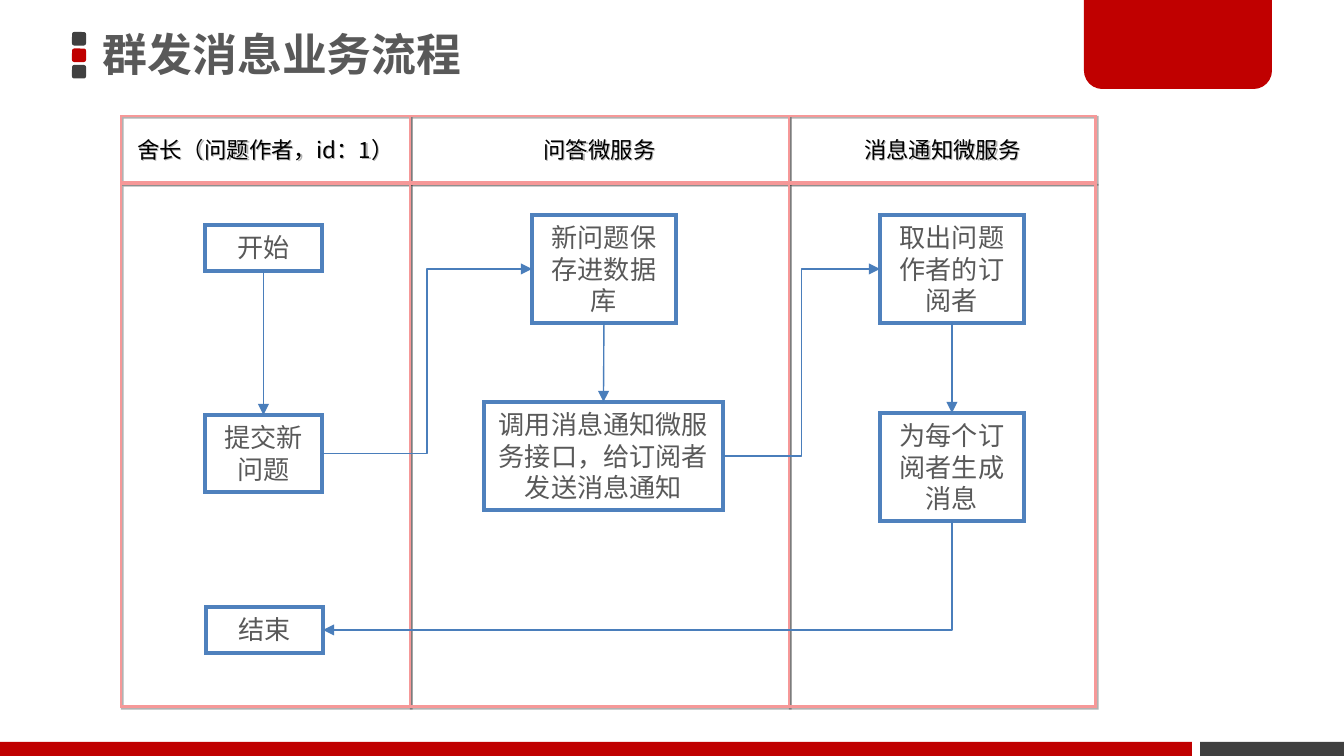
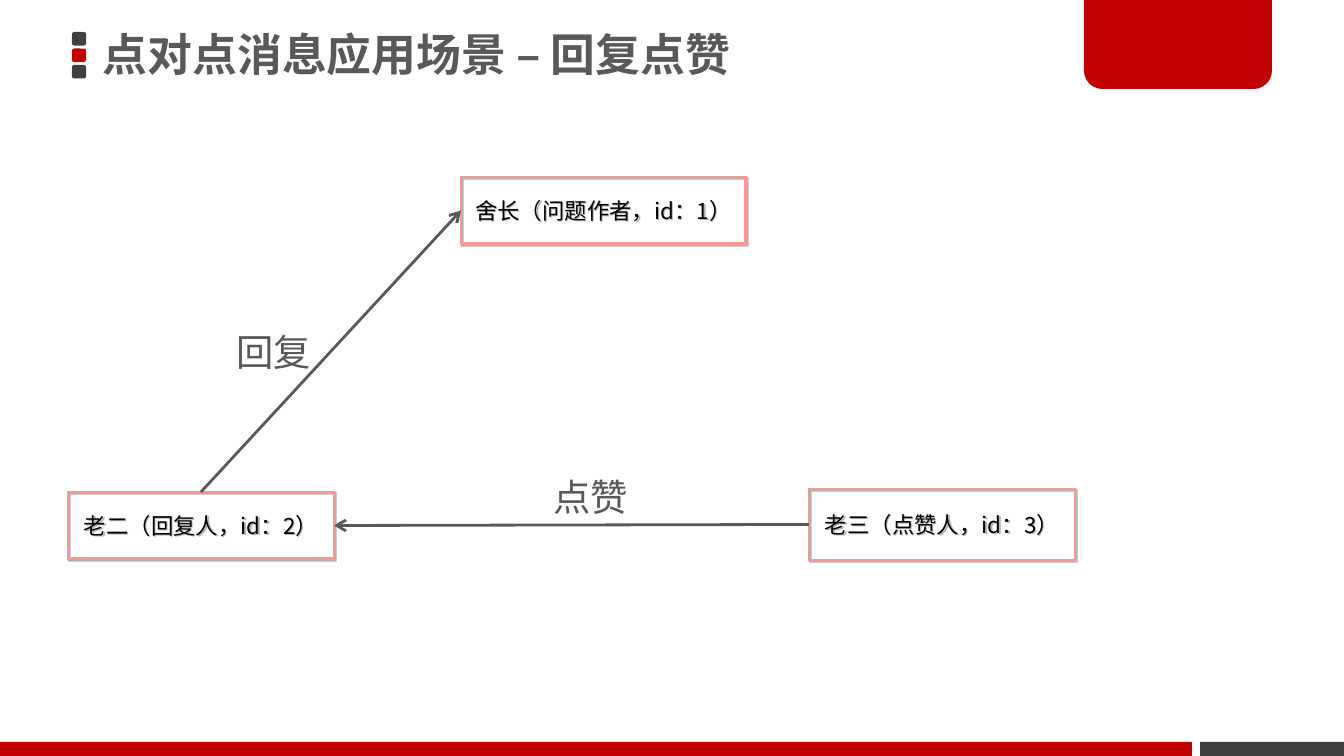
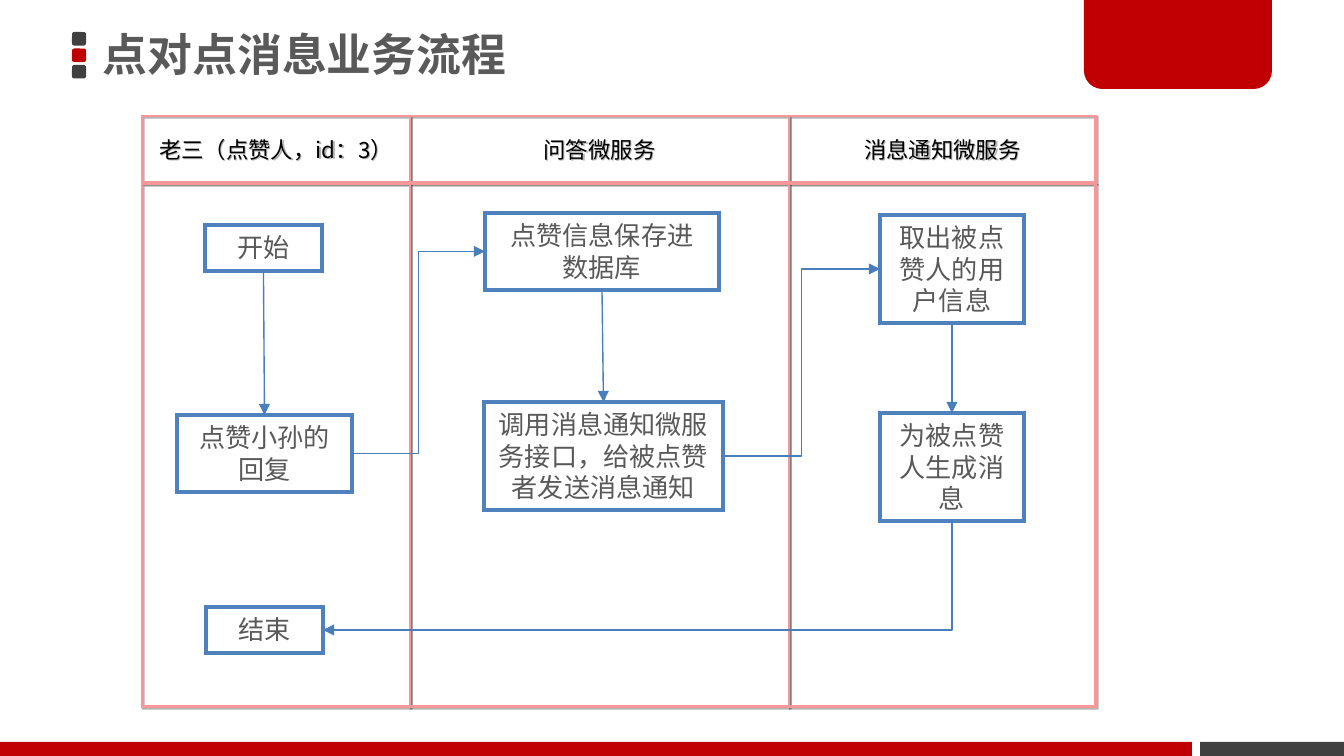
from lxml import etree
from pptx import Presentation
from pptx.dml.color import RGBColor
from pptx.enum.shapes import MSO_CONNECTOR, MSO_SHAPE
from pptx.enum.text import MSO_ANCHOR, MSO_AUTO_SIZE, PP_ALIGN
from pptx.oxml.ns import qn
from pptx.util import Emu, Pt

EMU_PER_PX = 914400 / 134.4
SLIDE_W, SLIDE_H = 1344, 756

RED = RGBColor(0xC0, 0x00, 0x00)
DARK = RGBColor(0x40, 0x40, 0x40)
GREY = RGBColor(0x59, 0x59, 0x59)
BLACK = RGBColor(0x00, 0x00, 0x00)
WHITE = RGBColor(0xFF, 0xFF, 0xFF)
PINK = RGBColor(0xF6, 0x98, 0x98)
BLUE = RGBColor(0x4F, 0x81, 0xBD)
ARROW_BLUE = RGBColor(0x4A, 0x7E, 0xBB)

CJK_FONT = "Noto Sans CJK SC"
LATIN_FONT = "Calibri"

RECT = MSO_SHAPE.RECTANGLE
ROUND_RECT = MSO_SHAPE.ROUNDED_RECTANGLE
ROUND_BOTTOM = MSO_SHAPE.ROUND_2_SAME_RECTANGLE
STRAIGHT, ELBOW = MSO_CONNECTOR.STRAIGHT, MSO_CONNECTOR.ELBOW
LEFT, CENTER = PP_ALIGN.LEFT, PP_ALIGN.CENTER
TOP_ANCHOR, MIDDLE = MSO_ANCHOR.TOP, MSO_ANCHOR.MIDDLE
GROW = MSO_AUTO_SIZE.SHAPE_TO_FIT_TEXT

# Connection sites of a rectangle
TOP_SITE, LEFT_SITE, BOTTOM_SITE, RIGHT_SITE = range(4)

LANE_TOP, HEADER_H, BODY_TOP, BODY_H = 116, 67, 184, 523
LANE_EDGES = (410, 789, 1096)


def px(n):
    return Emu(round(n * EMU_PER_PX))


def add_box(slide, kind, x, y, w, h, fill=None, line=None, weight=1):
    s = slide.shapes.add_shape(kind, px(x), px(y), px(w), px(h))
    s.shadow.inherit = False
    if fill is None:
        s.fill.background()
    else:
        s.fill.solid()
        s.fill.fore_color.rgb = fill
    if line is None:
        s.line.fill.background()
    else:
        s.line.color.rgb = line
        s.line.width = Pt(weight)
        etree.SubElement(s.line._get_or_add_ln(), qn("a:miter"), lim="800000")
    return s


def set_text(s, text, size=14, font=LATIN_FONT, color=GREY, bold=False,
             align=CENTER, anchor=TOP_ANCHOR, wrap=True, grow=False, spacing=None):
    tf = s.text_frame
    tf.word_wrap = wrap
    tf.vertical_anchor = anchor
    if grow:
        tf.auto_size = GROW
    p = tf.paragraphs[0]
    p.alignment = align
    if spacing:
        p.line_spacing = spacing
    r = p.add_run()
    r.text = text
    r.font.size = Pt(size)
    r.font.name = font
    r.font.bold = bold
    r.font.color.rgb = color
    ea = etree.SubElement(r.font._element, qn("a:ea"))
    ea.set("typeface", CJK_FONT)


def add_label(slide, text, x, y, w, h, **fmt):
    s = slide.shapes.add_textbox(px(x), px(y), px(w), px(h))
    set_text(s, text, **fmt)
    return s


def add_shadow(s):
    effects = s._element.spPr.find(qn("a:effectLst"))
    shadow = etree.SubElement(effects, qn("a:outerShdw"), blurRad="0",
                              dist=str(Pt(1)), dir="2700000", algn="tl",
                              rotWithShape="0")
    color = etree.SubElement(shadow, qn("a:srgbClr"), val=str(BLACK))
    etree.SubElement(color, qn("a:alpha"), val="30000")


def add_pink_box(slide, x, y, w, h, text=None):
    s = add_box(slide, RECT, x, y, w, h, line=PINK, weight=1.5)
    add_shadow(s)
    if text:
        set_text(s, text, size=12, font=CJK_FONT, color=BLACK, anchor=MIDDLE)
    return s


def add_step(slide, text, x, y, w, h):
    s = add_box(slide, RECT, x, y, w, h, fill=WHITE, line=BLUE, weight=2)
    set_text(s, text, grow=True)
    return s


def style_arrow(c, color, weight, head):
    c.line.color.rgb = color
    c.line.width = Pt(weight)
    etree.SubElement(c.line._get_or_add_ln(), qn("a:tailEnd"), type=head)
    etree.SubElement(c._element.spPr, qn("a:effectLst"))


def add_arrow(slide, start, start_site, end, end_site, kind=STRAIGHT,
              color=ARROW_BLUE, weight=0.75, head="triangle"):
    c = slide.shapes.add_connector(kind, 0, 0, 0, 0)
    c.begin_connect(start, start_site)
    c.end_connect(end, end_site)
    style_arrow(c, color, weight, head)


def add_return_arrow(slide, start, end):
    """One-bend arrow: down from the bottom of start, then left into end."""
    x1, y1 = start.left + start.width // 2, start.top + start.height
    x2, y2 = end.left + end.width, end.top + end.height // 2
    mid_x, mid_y = (x1 + x2) // 2, (y1 + y2) // 2
    half_w, half_h = (y2 - y1) // 2, (x1 - x2) // 2
    c = slide.shapes.add_connector(ELBOW, mid_x - half_w, mid_y - half_h,
                                   mid_x + half_w, mid_y + half_h)
    spPr = c._element.spPr
    spPr.find(qn("a:xfrm")).set("rot", "5400000")
    spPr.find(qn("a:prstGeom")).set("prst", "bentConnector2")
    style_arrow(c, ARROW_BLUE, 0.75, "triangle")


def add_slide(prs, title):
    """Blank slide with the shared title, markers, corner tab and bottom bands."""
    slide = prs.slides.add_slide(prs.slide_layouts[6])
    for i, color in enumerate((DARK, RED, DARK)):
        add_box(slide, ROUND_RECT, 72, 32 + 16.5 * i, 14, 13.5, fill=color)
    add_box(slide, RECT, 1200, 742, 144, 14, fill=DARK)
    tab = add_box(slide, ROUND_BOTTOM, 1084, -3, 188, 92, fill=RED)
    tab.adjustments[0], tab.adjustments[1] = 0, 0.2
    add_box(slide, RECT, 0, 742, 1192, 14, fill=RED)
    s = add_label(slide, title, 92, -3, 792, 120, size=24, font=CJK_FONT,
                  bold=True, align=LEFT, anchor=MIDDLE, spacing=0.9)
    tf = s.text_frame
    tf.margin_left = tf.margin_right = px(11)
    tf.margin_top = tf.margin_bottom = px(5)
    return slide


def add_lanes(slide, left, headers):
    edges = (left, *LANE_EDGES)
    lanes = list(zip(headers, edges, edges[1:]))
    for header, x1, x2 in lanes:
        add_pink_box(slide, x1, LANE_TOP, x2 - x1, HEADER_H, header)
    for _, x1, x2 in lanes:
        add_pink_box(slide, x1, BODY_TOP, x2 - x1, BODY_H)


def add_flow_slide(prs, title, left, actor, request, save, call, fetch, create):
    """Swimlane slide; request and save are (text, x, y, w, h)."""
    slide = add_slide(prs, title)
    add_lanes(slide, left, (actor, "问答微服务", "消息通知微服务"))
    begin = add_step(slide, "开始", 205, 225, 117, 46)
    request = add_step(slide, *request)
    save = add_step(slide, *save)
    call = add_step(slide, call, 484, 402, 239, 108)
    fetch = add_step(slide, fetch, 880, 215, 144, 108)
    create = add_step(slide, create, 880, 413, 144, 108)
    finish = add_step(slide, "结束", 206, 607, 117, 46)

    add_arrow(slide, request, RIGHT_SITE, save, LEFT_SITE, ELBOW)
    add_arrow(slide, save, BOTTOM_SITE, call, TOP_SITE)
    add_arrow(slide, call, RIGHT_SITE, fetch, LEFT_SITE, ELBOW)
    add_arrow(slide, fetch, BOTTOM_SITE, create, TOP_SITE)
    add_return_arrow(slide, create, finish)
    add_arrow(slide, begin, BOTTOM_SITE, request, TOP_SITE)


def add_scenario_slide(prs):
    slide = add_slide(prs, "点对点消息应用场景 – 回复点赞")
    author = add_pink_box(slide, 461, 177, 285, 67, "舍长（问题作者，id：1）")
    replier = add_pink_box(slide, 68, 492, 266, 67, "老二（回复人，id：2）")
    liker = add_pink_box(slide, 809, 489, 266, 71, "老三（点赞人，id：3）")
    look = dict(color=GREY, weight=1.5, head="arrow")
    add_arrow(slide, replier, TOP_SITE, author, LEFT_SITE, **look)
    add_arrow(slide, liker, LEFT_SITE, replier, RIGHT_SITE, **look)
    for text, x, y in (("回复", 223, 323), ("点赞", 540, 468)):
        add_label(slide, text, x, y, 105, 59, size=20, align=LEFT,
                  wrap=False, grow=True)


def main():
    prs = Presentation()
    prs.slide_width, prs.slide_height = px(SLIDE_W), px(SLIDE_H)
    add_flow_slide(
        prs, "群发消息业务流程", 121, "舍长（问题作者，id：1）",
        request=("提交新问题", 205, 415, 117, 77),
        save=("新问题保存进数据库", 532, 215, 144, 108),
        call="调用消息通知微服务接口，给订阅者发送消息通知",
        fetch="取出问题作者的订阅者",
        create="为每个订阅者生成消息")
    add_scenario_slide(prs)
    add_flow_slide(
        prs, "点对点消息业务流程", 142, "老三（点赞人，id：3）",
        request=("点赞小孙的回复", 177, 415, 175, 77),
        save=("点赞信息保存进数据库", 485, 213, 234, 77),
        call="调用消息通知微服务接口，给被点赞者发送消息通知",
        fetch="取出被点赞人的用户信息",
        create="为被点赞人生成消息")
    prs.save("out.pptx")


if __name__ == "__main__":
    main()
